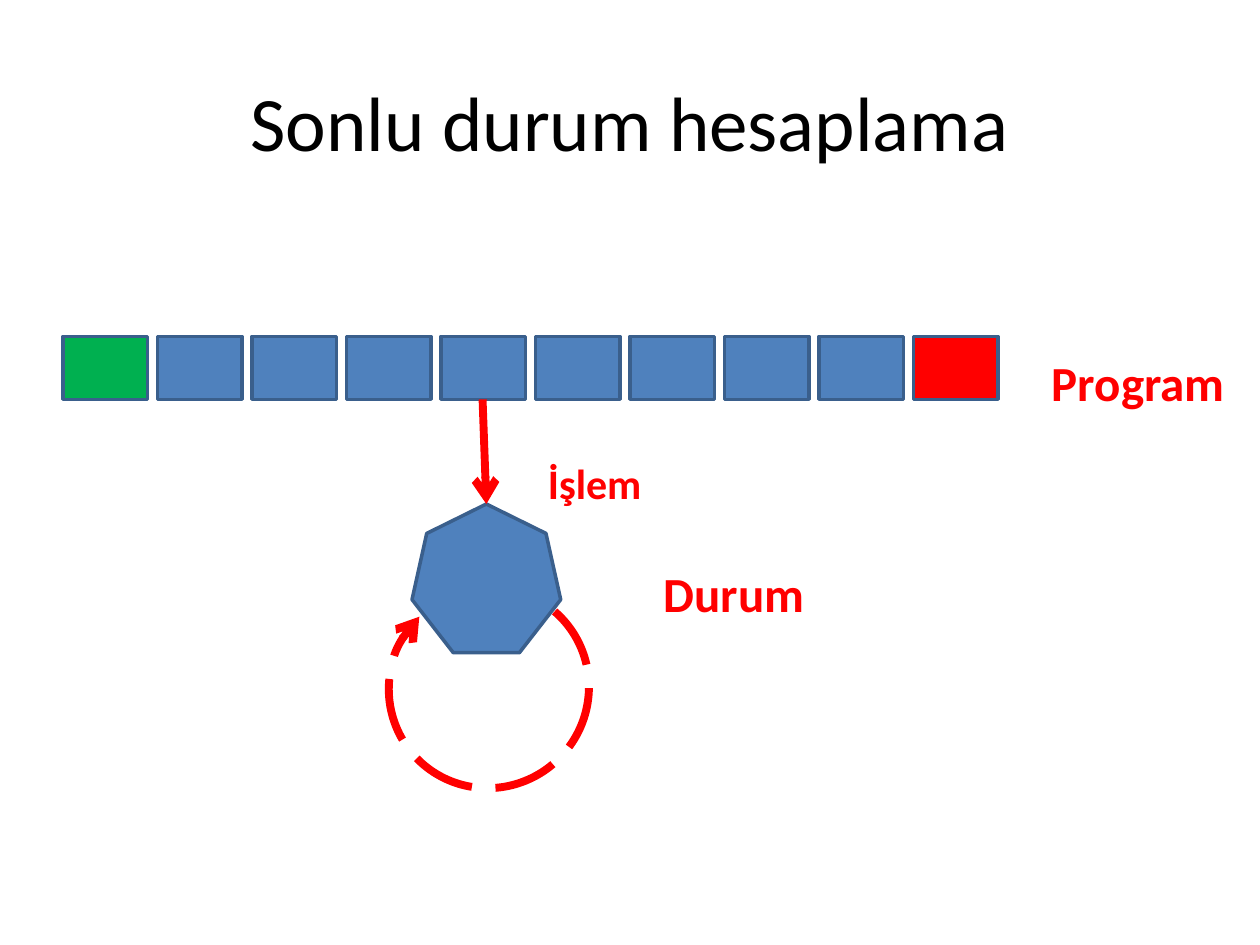
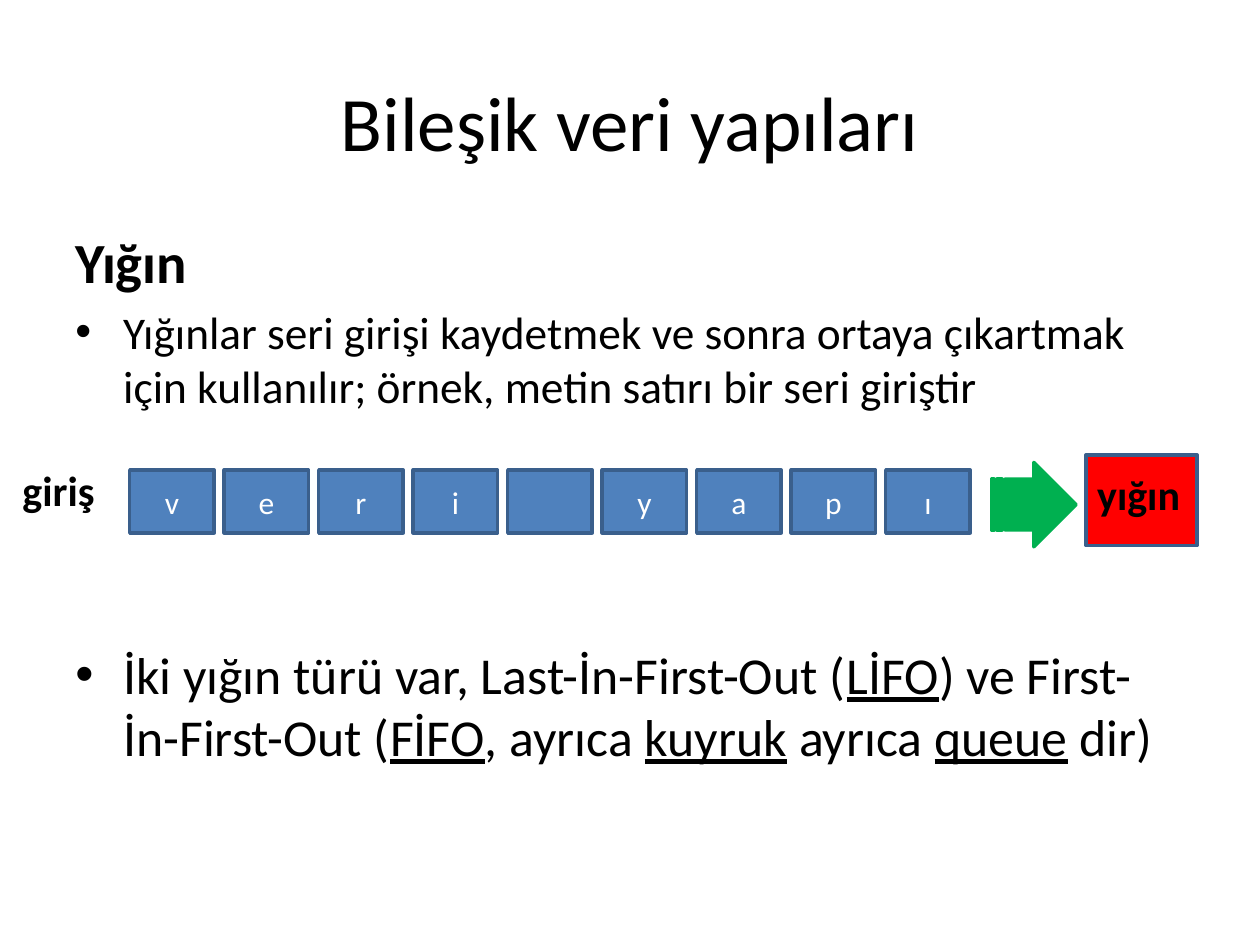
from lxml import etree
from pptx import Presentation
from pptx import util as u
from pptx.dml.color import RGBColor
from pptx.enum import dml, shapes, text
from pptx.oxml.ns import qn

WIDTH, HEIGHT = 10, 7.5
MARGIN = WIDTH * 0.05
COLUMN = WIDTH * 0.075
CELL_WIDTH, CELL_HEIGHT = 0.67, 0.5
BLACK, WHITE, RED, GREEN = "000000", "FFFFFF", "FF0000", "00B050"
BLUE, OUTLINE = "4F81BD", "3A5F8C"
LEFT, CENTER = text.PP_ALIGN.LEFT, text.PP_ALIGN.CENTER
SHAPE = shapes.MSO_SHAPE


def add_text(slide, box, paragraphs, align=LEFT, wrap=True, anchor=text.MSO_ANCHOR.TOP):
    shape = slide.shapes.add_textbox(*[u.Inches(length) for length in box])
    frame = shape.text_frame
    frame.word_wrap = wrap
    frame.vertical_anchor = anchor
    for index, (runs, size, bold, color, bullet) in enumerate(paragraphs):
        paragraph = frame.add_paragraph() if index else frame.paragraphs[0]
        paragraph.alignment = align
        paragraph.space_before = u.Pt(size * 0.2 if index else 0)
        if bullet:
            properties = paragraph._p.get_or_add_pPr()
            properties.set("marL", str(u.Inches(0.38)))
            properties.set("indent", str(-u.Inches(0.38)))
            etree.SubElement(properties, qn("a:buFont")).set("typeface", "Arial")
            etree.SubElement(properties, qn("a:buChar")).set("char", "•")
        for position, words in enumerate(runs):
            run = paragraph.add_run()
            run.text = words
            run.font.name = "Calibri"
            run.font.size = u.Pt(size)
            run.font.bold = bold
            run.font.underline = position % 2 == 1
            run.font.color.rgb = RGBColor.from_string(color)


def add_block(slide, kind, box, fill, line=OUTLINE, letter=""):
    shape = slide.shapes.add_shape(kind, *[u.Inches(length) for length in box])
    shape.shadow.inherit = False
    shape.fill.solid()
    shape.fill.fore_color.rgb = RGBColor.from_string(fill)
    shape.line.color.rgb = RGBColor.from_string(line)
    shape.line.width = u.Pt(2)
    if letter:
        paragraph = shape.text_frame.paragraphs[0]
        paragraph.alignment = CENTER
        run = paragraph.add_run()
        run.text = letter
        run.font.name = "Calibri"
        run.font.size = u.Pt(18)
        run.font.color.rgb = RGBColor.from_string(WHITE)
    return shape


presentation = Presentation()
presentation.slide_width = u.Inches(WIDTH)
presentation.slide_height = u.Inches(HEIGHT)

slides = []
for title in ["Sonlu durum hesaplama", "Bileşik veri yapıları"]:
    slide = presentation.slides.add_slide(presentation.slide_layouts[6])
    add_text(slide, (MARGIN, 0.33, WIDTH * 0.9, 1.25), [([title], 44, False, BLACK, False)],
             CENTER, anchor=text.MSO_ANCHOR.MIDDLE)
    slides.append(slide)
state_slide, stack_slide = slides

program_top = 2.67
for column, fill in enumerate([GREEN] + [BLUE] * 8 + [RED]):
    add_block(state_slide, SHAPE.RECTANGLE,
              (MARGIN + column * COLUMN, program_top, CELL_WIDTH, CELL_HEIGHT), fill)
add_block(state_slide, SHAPE.HEPTAGON, (3.27, 4, 1.18, 1.18), BLUE)

operation = state_slide.shapes.add_connector(
    shapes.MSO_CONNECTOR.STRAIGHT, u.Inches(3.83), u.Inches(program_top + CELL_HEIGHT),
    u.Inches(3.86), u.Inches(4))
etree.SubElement(operation._element.spPr, qn("a:effectLst"))

for label, size, box in [("Program", 28, (8.25, 2.75, 1.59, 0.57)),
                         ("Durum", 28, (5.17, 4.42, 1.33, 0.57)),
                         ("İşlem", 24, (4.25, 3.58, 0.95, 0.5))]:
    add_text(state_slide, box, [([label], size, True, RED, False)], wrap=False)

loop = add_block(state_slide, SHAPE.ARC, (3.09, 4.66, 1.58, 1.6), RED)
loop.fill.background()
loop.rotation = 40.7
loop.adjustments[0], loop.adjustments[1] = 162, 110.98
loop.line.dash_style = dml.MSO_LINE.LONG_DASH

for arrow in [operation, loop]:
    arrow.line.color.rgb = RGBColor.from_string(RED)
    arrow.line.width = u.Pt(4.5)
    etree.SubElement(arrow.line._get_or_add_ln(), qn("a:tailEnd")).set("type", "arrow")

add_text(stack_slide, (MARGIN, 1.75, WIDTH * 0.9, 1.6), [
    (["Yığın"], 32.4, True, BLACK, False),
    (["Yığınlar seri girişi kaydetmek ve sonra ortaya çıkartmak için kullanılır; "
      "örnek, metin satırı bir seri giriştir"], 25.9, False, BLACK, True)])
add_text(stack_slide, (MARGIN, 5.05, WIDTH * 0.9, 1.12), [
    (["İki yığın türü var, Last-İn-First-Out (", "LİFO", ") ve First-İn-First-Out (", "FİFO",
      ", ayrıca ", "kuyruk", " ayrıca ", "queue", " dir)"], 29.6, False, BLACK, True)])

for column, letter in enumerate(["v", "e", "r", "i", "", "y", "a", "p", "ı"]):
    add_block(stack_slide, SHAPE.RECTANGLE,
              (1.03 + column * COLUMN, 3.73, CELL_WIDTH, CELL_HEIGHT), BLUE, letter=letter)
add_block(stack_slide, SHAPE.RECTANGLE, (8.62, 3.61, 0.88, 0.72), RED)
push = add_block(stack_slide, SHAPE.STRIPED_RIGHT_ARROW, (7.87, 3.67, 0.67, 0.67), GREEN, GREEN)
push.adjustments[0], push.adjustments[1] = 0.6, 0.5
for label, box in [("giriş", (0.08, 3.64, 0.78, 0.5)), ("yığın", (8.61, 3.67, 0.87, 0.5))]:
    add_text(stack_slide, box, [([label], 24, True, BLACK, False)], wrap=False)

presentation.save("out.pptx")
